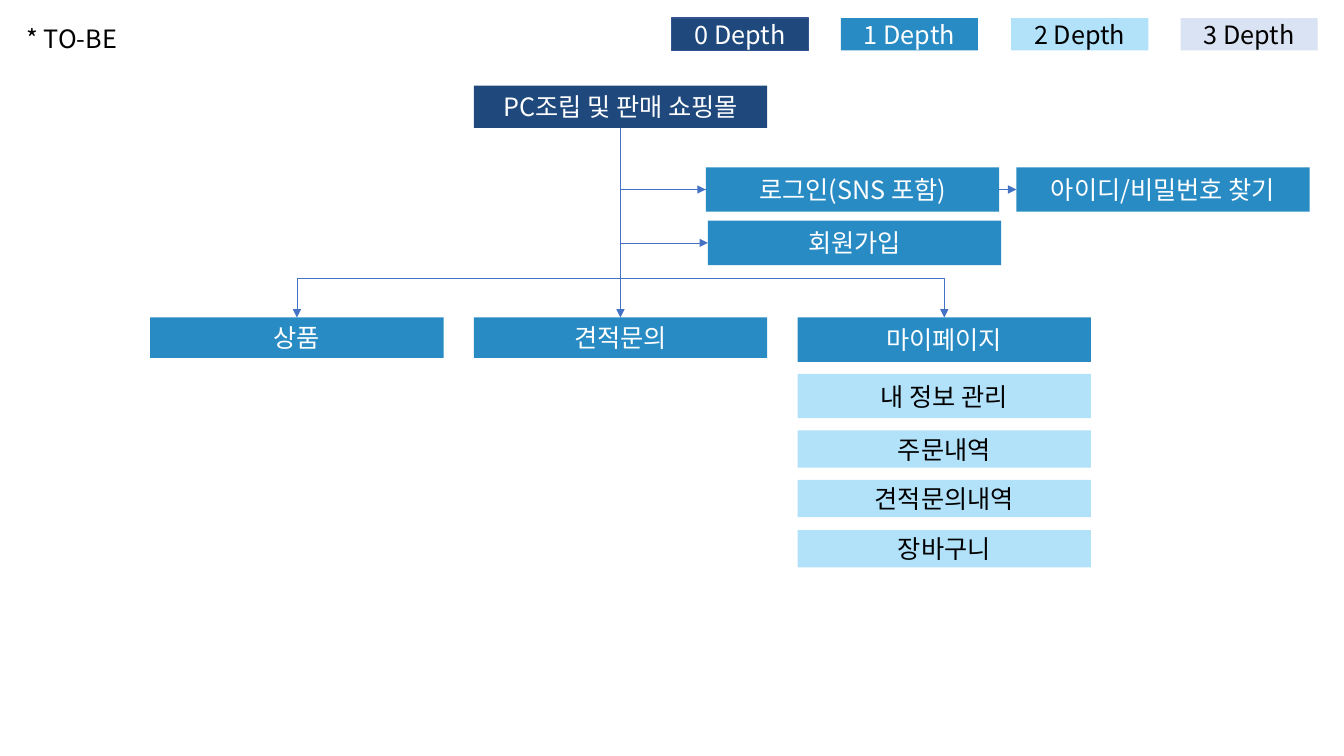
from lxml import etree
from pptx import Presentation
from pptx.dml.color import RGBColor
from pptx.enum.shapes import MSO_CONNECTOR, MSO_SHAPE
from pptx.enum.text import MSO_ANCHOR, MSO_AUTO_SIZE, PP_ALIGN
from pptx.oxml.ns import qn
from pptx.util import Pt

RECT = MSO_SHAPE.RECTANGLE
ELBOW = MSO_CONNECTOR.ELBOW
TOP, MIDDLE = MSO_ANCHOR.TOP, MSO_ANCHOR.MIDDLE
LEFT, CENTER = PP_ALIGN.LEFT, PP_ALIGN.CENTER
GROW = MSO_AUTO_SIZE.SHAPE_TO_FIT_TEXT

SCALE = 9144
FONT = "Noto Sans CJK KR"
NAVY, BLUE, SKY, PALE = "1F497D", "288BC4", "B1E2FA", "DAE3F3"
EDGE, WIRE, WHITE, BLACK = "325491", "4472C4", "FFFFFF", "000000"
WIDE, TALL = 291, 44
COLS = (149, 470, 791)
ROW = 315
BEND = 79200

LEGEND = [("0 Depth", NAVY), ("1 Depth", BLUE), ("2 Depth", SKY), ("3 Depth", PALE)]
PAGES = [("상품", 40), ("견적문의", 40), ("마이페이지", TALL)]
MENU = [("내 정보 관리", 371, TALL), ("주문내역", 427, 37),
        ("견적문의내역", 476, 37), ("장바구니", 526, 37)]


def px(n):
    return round(n * SCALE)


def rgb(code):
    return RGBColor.from_string(code)


def style(item, **vals):
    for key, val in vals.items():
        setattr(item, key, val)


def write(shape, text, color, align, **frame):
    style(shape.text_frame, **frame)
    para = shape.text_frame.paragraphs[0]
    para.alignment = align
    run = para.add_run()
    run.text = text
    style(run.font, name=FONT, size=Pt(18))
    run.font.color.rgb = rgb(color)
    props = run.font._element
    etree.SubElement(props, qn("a:ea"), typeface=FONT)


def box(slide, text, fill, x, y, w=WIDE, h=TALL, edge=None):
    shape = slide.shapes.add_shape(RECT, px(x), px(y), px(w), px(h))
    shape.shadow.inherit = False
    shape.fill.solid()
    shape.fill.fore_color.rgb = rgb(fill)
    if edge:
        shape.line.color.rgb = rgb(edge)
        shape.line.width = Pt(1)
    else:
        shape.line.fill.background()
    ink = WHITE if fill in (NAVY, BLUE) else BLACK
    write(shape, text, ink, CENTER, vertical_anchor=MIDDLE, word_wrap=True)
    return shape


def link(slide, root, goal, side):
    x, y = root.left + root.width // 2, root.top + root.height
    if side:
        end, low = goal.left, goal.top + goal.height // 2
    else:
        end, low = goal.left + goal.width // 2, goal.top
    run, drop = abs(end - x), low - y
    left, top = (x + end - drop) // 2, (y + low - run) // 2
    line = slide.shapes.add_connector(ELBOW, left, top, left + drop, top + run)
    line.begin_connect(root, 2)
    line.end_connect(goal, side)
    style(line, left=left, top=top, width=drop, height=run)
    line.line.color.rgb = rgb(WIRE)
    line.line.width = Pt(0.5)
    props = line.element.spPr
    turn = {"rot": "5400000", "flipH": "0", "flipV": "0"}
    if end >= x:
        turn.update(rot="16200000", flipH="1")
    for key, val in turn.items():
        props.find(qn("a:xfrm")).set(key, val)
    geom = props.find(qn("a:prstGeom"))
    if side:
        geom.set("prst", "bentConnector2")
    else:
        etree.SubElement(geom.find(qn("a:avLst")), qn("a:gd"),
                         name="adj1", fmla=f"val {BEND}")
    etree.SubElement(props.find(qn("a:ln")), qn("a:tailEnd"), type="triangle")
    etree.SubElement(props, qn("a:effectLst"))
    slide.shapes.element.insert(2, line.element)


def head(slide, text):
    title = slide.shapes.title
    style(title, left=px(16), top=px(18), width=px(110), height=px(40))
    write(title, text, BLACK, LEFT, vertical_anchor=TOP, word_wrap=False,
          auto_size=GROW)


def main():
    deck = Presentation()
    style(deck, slide_width=px(1333), slide_height=px(750))
    slide = deck.slides.add_slide(deck.slide_layouts[5])
    head(slide, "* TO-BE")
    for i, (text, fill) in enumerate(LEGEND):
        edge = EDGE if fill == NAVY else None
        box(slide, text, fill, 666 + round(168.3 * i), 18, 136, 32, edge)
    root = box(slide, "PC조립 및 판매 쇼핑몰", NAVY, COLS[1], 85, h=42)
    sides = [box(slide, "로그인(SNS 포함)", BLUE, 700, 166),
             box(slide, "아이디/비밀번호 찾기", BLUE, 1008, 166),
             box(slide, "회원가입", BLUE, 702, 219)]
    pages = [box(slide, text, BLUE, x, ROW, h=h)
             for x, (text, h) in zip(COLS, PAGES)]
    for text, y, h in MENU:
        box(slide, text, SKY, COLS[2], y, h=h)
    for goal in sides:
        link(slide, root, goal, 1)
    for goal in pages:
        link(slide, root, goal, 0)
    deck.save("out.pptx")


if __name__ == "__main__":
    main()
